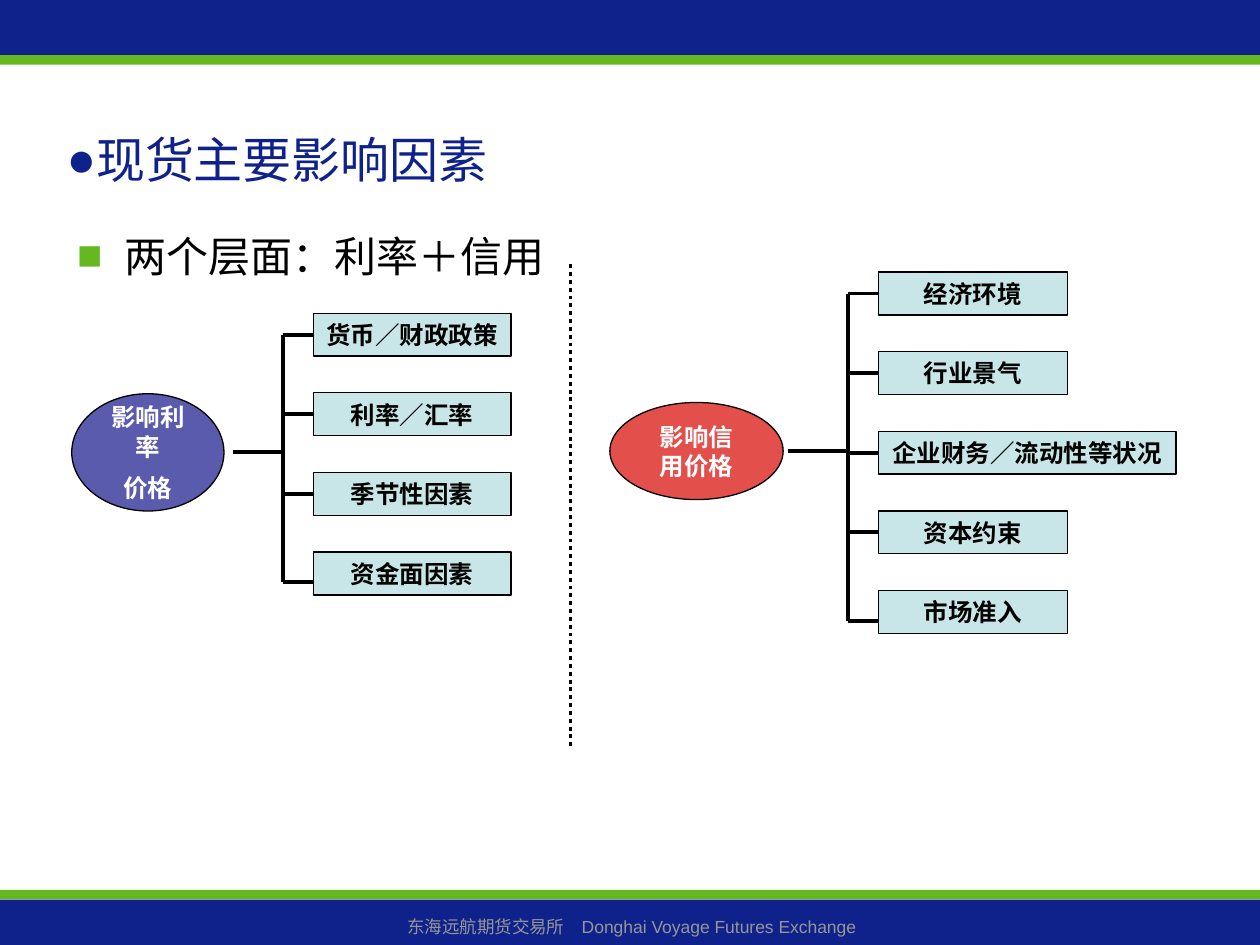
from dataclasses import dataclass

from pptx import Presentation
from pptx.dml.color import RGBColor
from pptx.enum.dml import MSO_LINE
from pptx.enum.shapes import MSO_CONNECTOR, MSO_SHAPE
from pptx.enum.text import MSO_ANCHOR, PP_ALIGN
from pptx.oxml.ns import qn
from pptx.oxml.xmlchemy import OxmlElement
from pptx.util import Pt


@dataclass(frozen=True)
class Theme:
    """Colours, fonts and sizes shared by the slide."""
    navy: str = "0F218B"
    green: str = "66B821"
    grey: str = "969696"
    black: str = "000000"
    white: str = "FFFFFF"
    purple: str = "333399"
    red: str = "DC241F"
    aqua: str = "BBE0E3"
    text_font: str = "Arial"
    label_font: str = "Noto Sans CJK SC"
    title_size: float = 28
    body_size: float = 24
    label_size: float = 14
    footer_size: float = 10
    outline: float = 0.75
    rule: float = 2.25


THEME = Theme()


def add_child(parent, tag, **attributes):
    """Append an XML child with the given attributes."""
    child = OxmlElement(tag)
    for name, value in attributes.items():
        child.set(name, value)
    parent.append(child)
    return child


def style_paragraph(paragraph, size, color, font_name, bold=False):
    """Set the font of a whole paragraph for Latin and East Asian text."""
    font = paragraph.font
    font.size, font.bold = Pt(size), bold
    font.color.rgb = RGBColor.from_string(color)
    font.name = font_name
    if font_name == THEME.label_font:
        properties = paragraph._p.pPr.find(qn("a:defRPr"))
        add_child(properties, "a:ea", typeface=font_name)


def add_bullet(paragraph, character, color, indent=0):
    """Give a paragraph a coloured bullet with a hanging indent."""
    properties = paragraph._p.get_or_add_pPr()
    properties.set("marL", str(Pt(indent)))
    properties.set("indent", str(-Pt(indent)))
    bullet_color = add_child(properties, "a:buClr")
    add_child(bullet_color, "a:srgbClr", val=color)
    add_child(properties, "a:buFont", typeface=THEME.text_font)
    add_child(properties, "a:buChar", char=character)


def add_text(slide, box, text, size, color, bullet=None, indent=0,
             align=PP_ALIGN.LEFT, anchor=MSO_ANCHOR.TOP):
    """Place a wrapped one-paragraph text box."""
    frame = slide.shapes.add_textbox(*map(Pt, box)).text_frame
    frame.word_wrap = True
    frame.vertical_anchor = anchor
    paragraph = frame.paragraphs[0]
    paragraph.text = text
    paragraph.alignment = align
    if bullet:
        add_bullet(paragraph, bullet[0], bullet[1], indent)
    style_paragraph(paragraph, size, color, THEME.text_font)


def add_band(slide, box, color):
    """Place a plain coloured band."""
    band = slide.shapes.add_shape(MSO_SHAPE.RECTANGLE, *map(Pt, box))
    band.shadow.inherit = False
    band.fill.solid()
    band.fill.fore_color.rgb = RGBColor.from_string(color)
    band.line.fill.background()
    return band


def add_label(slide, kind, box, lines, fill, color, wrap=False):
    """Place an outlined, slightly transparent shape with bold centred text."""
    shape = slide.shapes.add_shape(kind, *map(Pt, box))
    shape.shadow.inherit = False
    shape.fill.solid()
    shape.fill.fore_color.rgb = RGBColor.from_string(fill)
    fill_color = shape._element.spPr.find(qn("a:solidFill"))[0]
    add_child(fill_color, "a:alpha", val="80000")
    shape.line.color.rgb = RGBColor.from_string(THEME.black)
    shape.line.width = Pt(THEME.outline)
    frame = shape.text_frame
    frame.word_wrap = wrap
    frame.vertical_anchor = MSO_ANCHOR.MIDDLE
    frame.text = "\n".join(lines)
    for index, paragraph in enumerate(frame.paragraphs):
        paragraph.alignment = PP_ALIGN.CENTER
        paragraph.space_before = Pt(THEME.label_size / 2 if index else 0)
        style_paragraph(paragraph, THEME.label_size, color, THEME.label_font, True)
    return shape


def add_rule(slide, start, end):
    """Draw a straight black line without a shadow."""
    rule = slide.shapes.add_connector(
        MSO_CONNECTOR.STRAIGHT, *map(Pt, (*start, *end)))
    rule.line.color.rgb = RGBColor.from_string(THEME.black)
    rule.line.width = Pt(THEME.rule)
    add_child(rule._element.spPr, "a:effectLst")
    return rule


def add_frame(slide, box):
    """Place the top and bottom bands and the footer."""
    left, top, width, height = box
    bottom = top + height
    add_band(slide, (left, top, width, 31.5), THEME.navy)
    add_band(slide, (left, bottom - 31.5, width, 5.5), THEME.green)
    add_band(slide, (left, top + 31.5, width, 5.5), THEME.green)
    add_band(slide, (left, bottom - 26, width, 26), THEME.navy)
    add_text(slide, (left + 4, bottom - 20, width - 6, 19),
             "东海远航期货交易所　Donghai Voyage Futures Exchange",
             THEME.footer_size, THEME.grey, align=PP_ALIGN.CENTER)


def add_heading(slide, box):
    """Place the title and the statement below it."""
    left, top, width, height = box
    add_text(slide, (left, top, 499, 51), "现货主要影响因素", THEME.title_size,
             THEME.navy, bullet=("●", THEME.navy), anchor=MSO_ANCHOR.MIDDLE)
    add_text(slide, (left + 6, top + 62.5, width - 6, height - 62.5),
             "两个层面：利率＋信用", THEME.body_size, THEME.black,
             bullet=("■", THEME.green), indent=27)


def add_factor_tree(slide, box, root, root_size, root_fill, stem_offset,
                    trunk_offset, factors):
    """Place a root ellipse and its factors, joined by a bracket."""
    left, top, width, height = box
    box_height, tick, last_drop = 24.5, 17.5, 5
    axis = top + height / 2 - 1
    pitch = (height - box_height) / (len(factors) - 1)
    trunk = left + trunk_offset
    root_width, root_height = root_size
    add_label(slide, MSO_SHAPE.OVAL,
              (left, axis - root_height / 2, root_width, root_height),
              root, root_fill, THEME.white, wrap=True)
    boxes = [
        add_label(slide, MSO_SHAPE.RECTANGLE,
                  (trunk + tick, top + index * pitch, factor_width, box_height),
                  [factor], THEME.aqua, THEME.black)
        for index, (factor, factor_width) in enumerate(factors)]
    first = top + box_height / 2
    last = first + height - box_height + last_drop
    for index, factor_box in enumerate(boxes[:-1]):
        level = first + index * pitch
        branch = add_rule(slide, (trunk, level), (trunk + tick, level))
        branch.end_connect(factor_box, 1)
    add_rule(slide, (trunk, last), (trunk + tick, last))
    add_rule(slide, (trunk, first), (trunk, last))
    add_rule(slide, (left + stem_offset, axis), (trunk, axis))


def add_divider(slide, box):
    """Draw the dotted line down the left edge of the box."""
    left, top, _, height = box
    divider = add_rule(slide, (left, top), (left, top + height))
    divider.line.dash_style = MSO_LINE.ROUND_DOT


def main():
    """Build the slide and save it."""
    presentation = Presentation()
    presentation.slide_width, presentation.slide_height = Pt(720), Pt(540)
    slide = presentation.slides.add_slide(presentation.slide_layouts[6])
    add_frame(slide, (0, 0, 720, 540))
    add_heading(slide, (31, 65.5, 654, 340.5))
    add_factor_tree(
        slide, (41, 179, 251, 161), ["影响利率", "价格"], (87, 67), THEME.purple,
        92, 120.5,
        [(factor, 113) for factor in
         ("货币／财政政策", "利率／汇率", "季节性因素", "资金面因素")])
    add_factor_tree(
        slide, (348.5, 155.5, 323, 206.5), ["影响信用价格"], (99, 55.5), THEME.red,
        102, 136,
        [("经济环境", 108), ("行业景气", 108), ("企业财务／流动性等状况", 170),
         ("资本约束", 108), ("市场准入", 108)])
    add_divider(slide, (326, 151, 0, 277.5))
    presentation.save("out.pptx")


if __name__ == "__main__":
    main()
